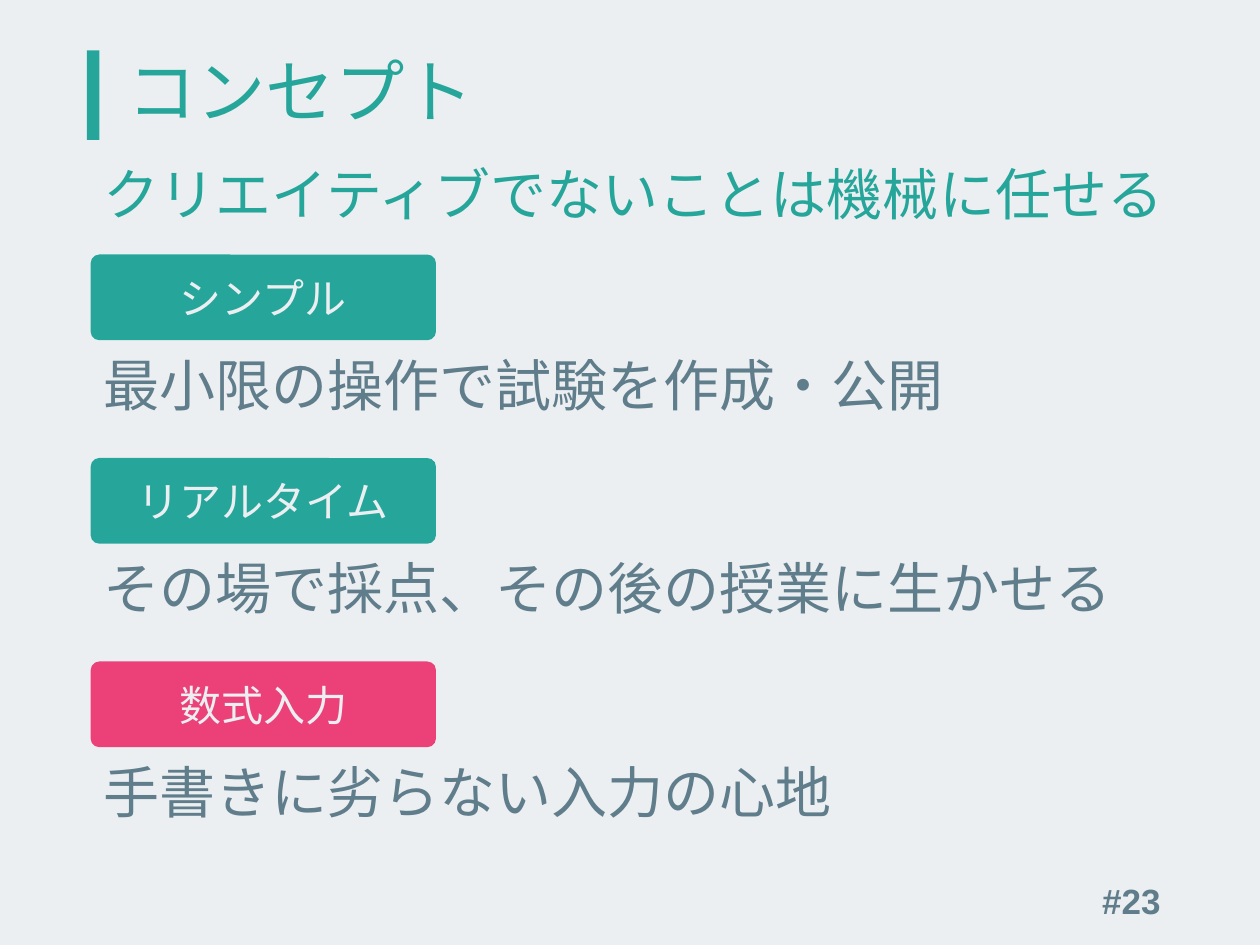
"""Build the concept slide: a title, a motto and three labelled features."""
import pptx
import pptx.dml.color
import pptx.enum.shapes
import pptx.enum.text
import pptx.oxml
import pptx.oxml.ns
import pptx.util

Inches = pptx.util.Inches
SHAPES = pptx.enum.shapes.MSO_SHAPE
ALIGN = pptx.enum.text.PP_ALIGN
ANCHOR = pptx.enum.text.MSO_ANCHOR

TITLE = "コンセプト"
MOTTO = "クリエイティブでないことは機械に任せる"
PAGE_NUMBER = "#23"
FEATURES = [
    ("シンプル", "最小限の操作で試験を作成・公開", "26A69B"),
    ("リアルタイム", "その場で採点、その後の授業に生かせる", "26A69B"),
    ("数式入力", "手書きに劣らない入力の心地", "EC4079"),
]
TEAL, SLATE, PALE = "26A69A", "607D8B", "ECEFF1"
JAPANESE_FONT = "Noto Sans CJK JP"
LEFT, TEXT_WIDTH, TEXT_HEIGHT = 0.72, 8.76, 0.64
LABEL_TOP, LABEL_WIDTH, LABEL_HEIGHT = 2.02, 2.74, 0.68
FEATURE_PITCH, DESCRIPTION_OFFSET = 1.615, 0.71


def color(value):
    return pptx.dml.color.RGBColor.from_string(value)


def box(left, top, width, height):
    return [Inches(length) for length in (left, top, width, height)]


def write(shape, text, size=32, fill=SLATE, font=JAPANESE_FONT, bold=False,
          align=ALIGN.LEFT, anchor=ANCHOR.TOP, line_spacing=None):
    frame = shape.text_frame
    frame.word_wrap = True
    frame.auto_size = pptx.enum.text.MSO_AUTO_SIZE.NONE
    frame.vertical_anchor = anchor
    paragraph = frame.paragraphs[0]
    paragraph.alignment = align
    paragraph.line_spacing = line_spacing
    run = paragraph.add_run()
    run.text = text
    run.font.size = pptx.util.Pt(size)
    run.font.bold = bold
    run.font.color.rgb = color(fill)
    run.font.name = font
    east_asian = pptx.oxml.parse_xml(
        f'<a:ea {pptx.oxml.ns.nsdecls("a")} typeface="{font}"/>')
    run.font._element.find(pptx.oxml.ns.qn("a:latin")).addnext(east_asian)


def add_block(slide, kind, bounds, fill):
    shape = slide.shapes.add_shape(kind, *box(*bounds))
    shape.shadow.inherit = False
    shape.fill.solid()
    shape.fill.fore_color.rgb = color(fill)
    shape.line.fill.background()
    return shape


def add_text(slide, bounds, text, **text_format):
    write(slide.shapes.add_textbox(*box(*bounds)), text, **text_format)


def add_feature(slide, index, label, description, fill):
    top = LABEL_TOP + index * FEATURE_PITCH
    shape = add_block(slide, SHAPES.ROUNDED_RECTANGLE,
                      (LEFT, top, LABEL_WIDTH, LABEL_HEIGHT), fill)
    shape.adjustments[0] = 0.1
    write(shape, label, size=24, fill=PALE, align=ALIGN.CENTER, anchor=ANCHOR.MIDDLE)
    add_text(slide, (LEFT, top + DESCRIPTION_OFFSET, TEXT_WIDTH, TEXT_HEIGHT), description)


def main():
    presentation = pptx.Presentation()
    presentation.slide_width, presentation.slide_height = Inches(10), Inches(7.5)
    slide = presentation.slides.add_slide(presentation.slide_layouts[5])
    slide.background.fill.solid()
    slide.background.fill.fore_color.rgb = color(PALE)

    title = slide.shapes.title
    title.left, title.top, title.width, title.height = box(0.91, 0.4, 8.41, 0.71)
    write(title, TITLE, size=39.6, fill=TEAL, anchor=ANCHOR.MIDDLE, line_spacing=0.9)
    add_block(slide, SHAPES.RECTANGLE, (0.69, 0.4, 0.1, 0.71), TEAL)

    add_text(slide, (LEFT, 1.22, TEXT_WIDTH, TEXT_HEIGHT), MOTTO, fill=TEAL)
    for index, feature in enumerate(FEATURES):
        add_feature(slide, index, *feature)
    add_text(slide, (7.06, 6.95, 2.25, 0.4), PAGE_NUMBER, size=20, font="Arial",
             bold=True, align=ALIGN.RIGHT, anchor=ANCHOR.MIDDLE)
    presentation.save("out.pptx")


if __name__ == "__main__":
    main()
